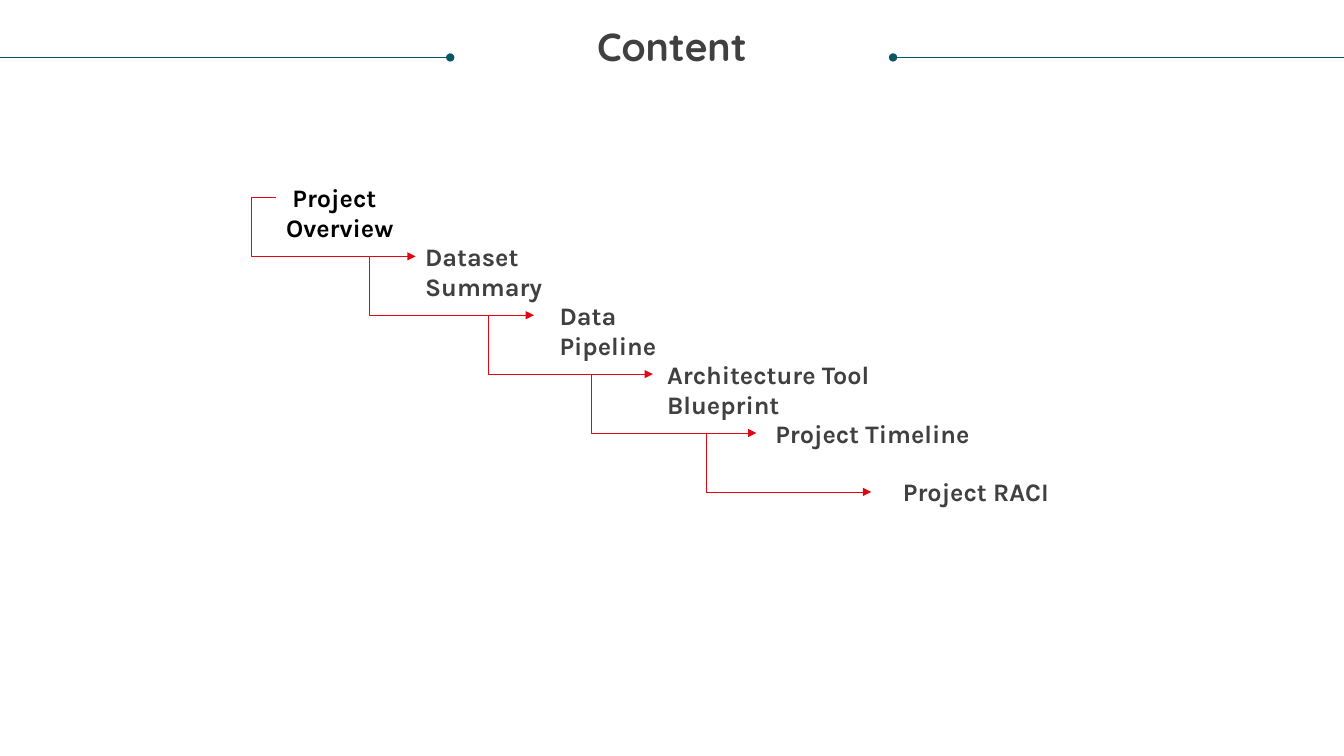
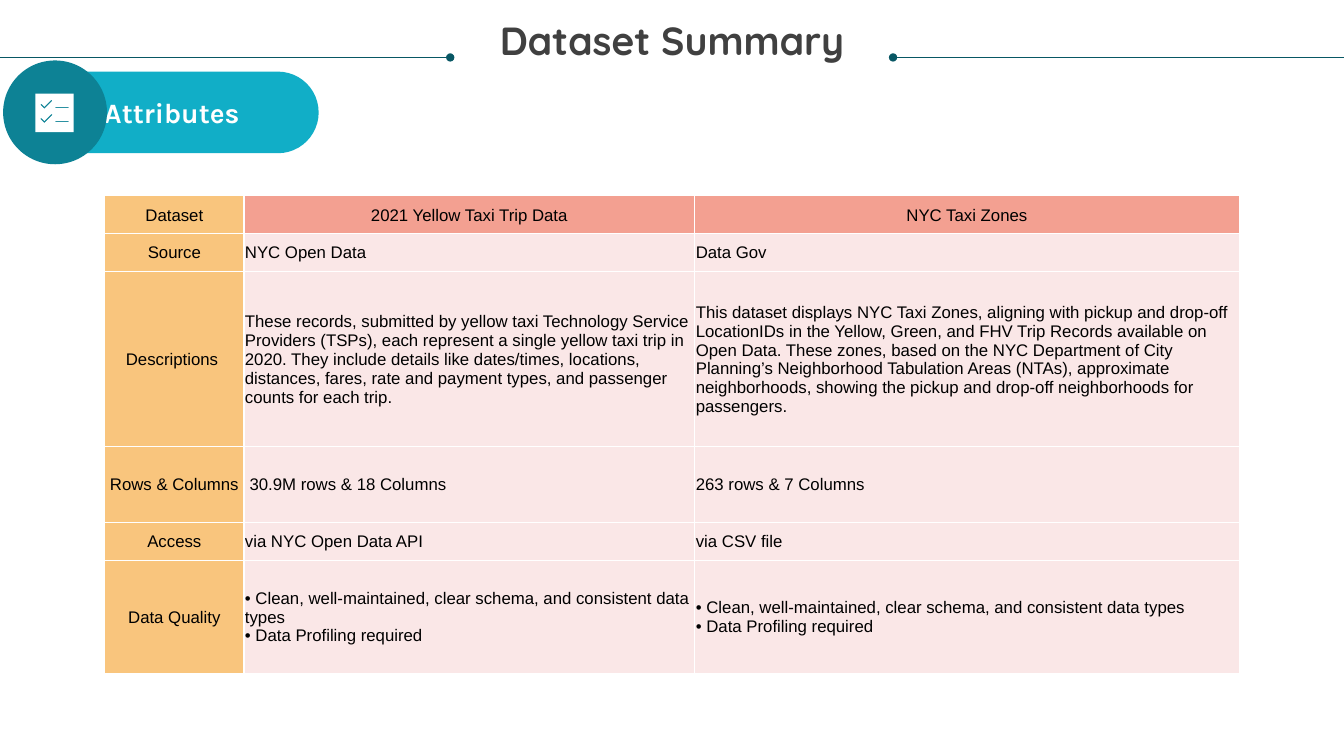
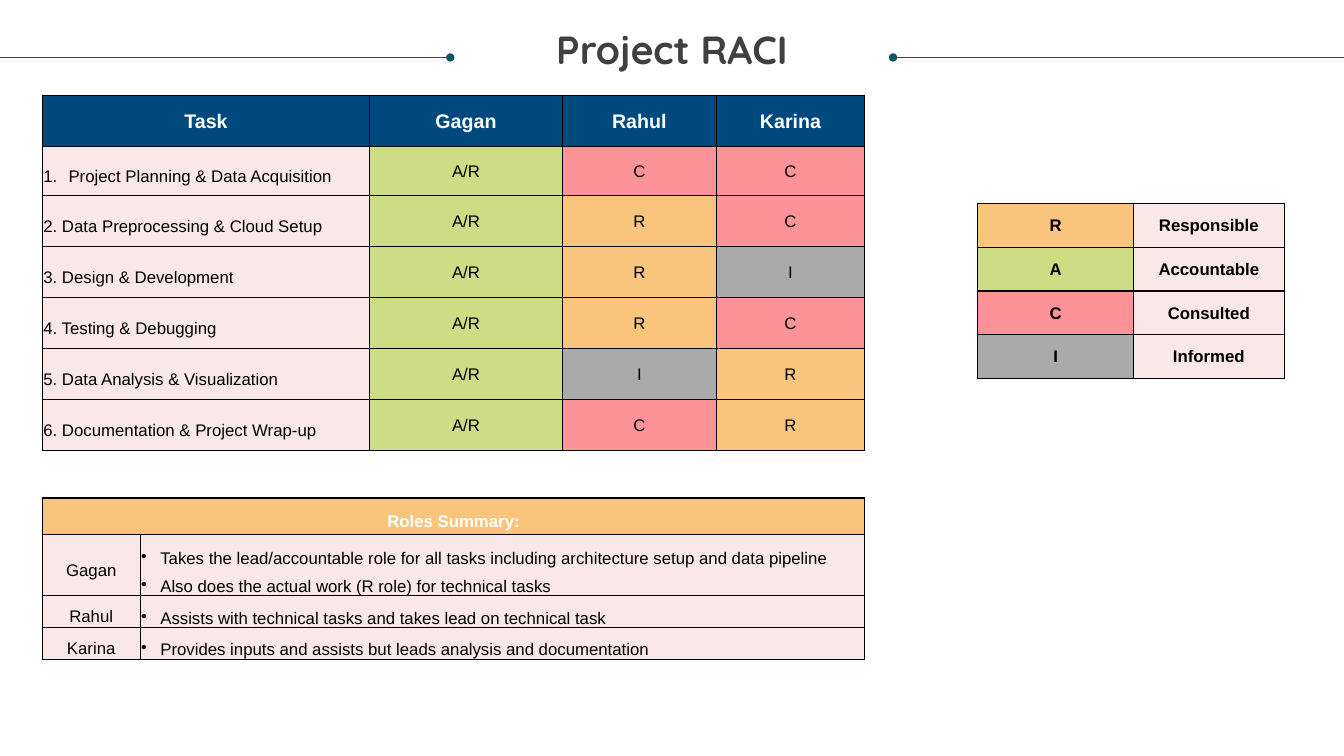
from dataclasses import dataclass

from lxml.etree import SubElement
from pptx import Presentation
from pptx.dml.color import RGBColor
from pptx.enum.shapes import MSO_CONNECTOR as Link, MSO_SHAPE as Preset
from pptx.enum.text import MSO_ANCHOR as Anchor, MSO_AUTO_SIZE as AutoSize, PP_ALIGN as Align
from pptx.oxml.ns import qn
from pptx.util import Emu, Inches, Pt


@dataclass(frozen=True)
class Theme:
    """Colours, fonts and type sizes of the deck."""
    ink: str = "404040"
    black: str = "000000"
    white: str = "FFFFFF"
    rule: str = "085764"
    arrow: str = "E20613"
    pill: str = "11AEC7"
    badge: str = "0D8295"
    navy: str = "00497F"
    orange: str = "F9C57D"
    coral: str = "F3A091"
    blush: str = "FAE7E7"
    green: str = "CDDC85"
    pink: str = "FC9399"
    grey: str = "AAAAAA"
    title_font: str = "Quicksand"
    label_font: str = "Karla"
    table_font: str = "Arial"
    title_size: float = 28
    badge_size: float = 20
    label_size: float = 18
    head_size: float = 14
    body_size: float = 12
    hairline: float = 0.5
    border: float = 1


THEME = Theme()


@dataclass
class Cell:
    """Text and look of one table cell; each line is a paragraph."""
    lines: tuple
    fill: str = THEME.blush
    color: str = THEME.black
    size: float = THEME.body_size
    bold: bool = False
    align: Align = Align.CENTER
    anchor: Anchor = Anchor.MIDDLE
    spacing: float = None
    bullet: str = None
    indent: float = 0


class Deck:
    """Draws on the current slide, on a grid of 100 columns by 100 rows."""

    def __init__(self, theme):
        """Open an empty widescreen presentation."""
        self.theme = theme
        self.prs = Presentation()
        self.prs.slide_width, self.prs.slide_height = Inches(13.33), Inches(7.5)
        self.shapes = None

    def x(self, columns):
        """Turn grid columns into a length."""
        return Emu(round(self.prs.slide_width * columns / 100))

    def y(self, rows):
        """Turn grid rows into a length."""
        return Emu(round(self.prs.slide_height * rows / 100))

    def box(self, left, top, width, height):
        """Turn a grid rectangle into lengths."""
        return self.x(left), self.y(top), self.x(width), self.y(height)

    def slide(self, title, title_top):
        """Start a slide with its title between two dotted rules."""
        theme = self.theme
        self.shapes = self.prs.slides.add_slide(self.prs.slide_layouts[6]).shapes
        self.line((66.45, 7.6), (100, 7.6), theme.rule, head="oval")
        frame = self.frame(1.9, title_top, 96.2, 11.33)
        frame.margin_left = frame.margin_right = frame.margin_top = frame.margin_bottom = 0
        heading = frame.paragraphs[0]
        heading.alignment, heading.line_spacing = Align.CENTER, 0.9
        self.run(heading, title, theme.title_font, theme.title_size, theme.ink)
        self.line((0, 7.6), (33.5, 7.6), theme.rule, tail="oval")

    def frame(self, *at):
        """Add a wrapping text box and return its text frame."""
        frame = self.shapes.add_textbox(*self.box(*at)).text_frame
        frame.word_wrap = True
        return frame

    def run(self, paragraph, text, font, size, color, bold=True):
        """Add one styled run to a paragraph."""
        run = paragraph.add_run()
        run.text = text
        run.font.name, run.font.size, run.font.bold = font, Pt(size), bold
        run.font.color.rgb = RGBColor.from_string(color)

    def label(self, text, left, top, width, color):
        """Add a bold label that grows with its text."""
        frame = self.frame(left, top, width, 5.33)
        frame.auto_size = AutoSize.SHAPE_TO_FIT_TEXT
        self.run(frame.paragraphs[0], text, self.theme.label_font, self.theme.label_size, color)

    def line(self, start, end, color, head=None, tail=None, kind=Link.STRAIGHT):
        """Add a thin connector with optional line ends."""
        link = self.shapes.add_connector(
            kind, self.x(start[0]), self.y(start[1]), self.x(end[0]), self.y(end[1]))
        link.line.color.rgb = RGBColor.from_string(color)
        link.line.width = Pt(self.theme.hairline)
        properties = link.element.spPr
        for tag, mark in (("a:headEnd", head), ("a:tailEnd", tail)):
            if mark:
                SubElement(properties.find(qn("a:ln")), qn(tag), type=mark)
        SubElement(properties, qn("a:effectLst"))
        return link

    def step(self, start, end, bend):
        """Add an elbow arrow that first runs back by a share of its width."""
        link = self.line(start, end, self.theme.arrow, tail="triangle", kind=Link.ELBOW)
        properties = link.element.spPr
        # A half turn with both flips keeps the route and the bend to the left.
        for name, value in (("rot", "10800000"), ("flipH", "1"), ("flipV", "1")):
            properties.find(qn("a:xfrm")).set(name, value)
        guides = properties.find(qn("a:prstGeom")).find(qn("a:avLst"))
        SubElement(guides, qn("a:gd"), name="adj1", fmla=f"val {round(bend * 100000)}")

    def paint(self, shape, fill):
        """Give a shape a flat fill with no outline or shadow."""
        shape.shadow.inherit = False
        shape.fill.solid()
        shape.fill.fore_color.rgb = RGBColor.from_string(fill)
        shape.line.fill.background()
        return shape

    def preset(self, kind, at, fill):
        """Add a flat preset shape."""
        return self.paint(self.shapes.add_shape(kind, *self.box(*at)), fill)

    def outline(self, left, top, unit, contours, fill):
        """Add a closed outline; later contours cut holes in the first."""
        builder = self.shapes.build_freeform(*contours[0][0], scale=1 / self.x(unit) ** -1)
        for index, (first, *rest) in enumerate(contours):
            if index:
                builder.move_to(*first)
            builder.add_line_segments(rest, close=True)
        self.paint(builder.convert_to_shape(self.x(left), self.y(top)), fill)

    def table(self, left, top, columns, rows, cells, border):
        """Add a bordered table; None joins a cell to the one before it."""
        table = self.shapes.add_table(
            len(rows), len(columns), *self.box(left, top, sum(columns), sum(rows))).table
        table.first_row = table.horz_banding = False
        for column, width in zip(table.columns, columns):
            column.width = self.x(width)
        for row, height in zip(table.rows, rows):
            row.height = self.y(height)
        for r, row in enumerate(cells):
            for c, content in enumerate(row):
                cell = table.cell(r, c)
                self.edges(cell, border)
                if content is None:
                    table.cell(r, c - 1).merge(cell)
                else:
                    self.fill_cell(cell, content)

    def edges(self, cell, color):
        """Draw the four borders of a cell."""
        properties = cell._tc.get_or_add_tcPr()
        for side in ("a:lnL", "a:lnR", "a:lnT", "a:lnB"):
            edge = SubElement(properties, qn(side), w=str(Pt(self.theme.border)))
            SubElement(SubElement(edge, qn("a:solidFill")), qn("a:srgbClr"), val=color)

    def fill_cell(self, cell, content):
        """Write the text of a cell and colour it."""
        cell.fill.solid()
        cell.fill.fore_color.rgb = RGBColor.from_string(content.fill)
        cell.vertical_anchor = content.anchor
        cell.margin_left = cell.margin_right = cell.margin_top = Inches(0.01)
        cell.margin_bottom = 0
        frame = cell.text_frame
        for index, line in enumerate(content.lines):
            paragraph = frame.add_paragraph() if index else frame.paragraphs[0]
            paragraph.alignment = content.align
            paragraph.line_spacing = content.spacing
            if content.bullet:
                self.bullet(paragraph, content.bullet, Inches(content.indent))
            self.run(paragraph, line, self.theme.table_font, content.size,
                     content.color, content.bold)

    def bullet(self, paragraph, mark, indent):
        """Give a paragraph a hanging bullet, or a number if mark is '1.'."""
        properties = paragraph._p.get_or_add_pPr()
        properties.set("marL", str(indent))
        properties.set("indent", str(-indent))
        if mark == "1.":
            SubElement(properties, qn("a:buAutoNum"), type="arabicPeriod")
        else:
            SubElement(properties, qn("a:buChar"), char=mark)


def content_slide(deck):
    """Agenda as a staircase of labels joined by arrows."""
    deck.slide("Content", 3.6)
    top, rise, arrow_width = 23.45, 7.79, 10.38
    topics = [
        (" Project Overview ", 20.55, 16.5), ("Dataset Summary", 30.9, 16.13),
        ("Data Pipeline", 40.9, 12.4), ("Architecture Tool Blueprint", 48.9, 23.25),
        ("Project Timeline", 56.95, 16.43), ("Project RACI", 66.45, 14.03)]
    for index, (topic, left, width) in enumerate(topics):
        color = deck.theme.ink if index else deck.theme.black
        deck.label(topic, left, top + index * rise, width, color)
    for index, left in enumerate((20.55, 29.35, 38.2, 45.9, 54.45)):
        height = top + 2.67 + index * rise
        deck.step((left, height), (left + arrow_width, height + rise), -0.18)


def dataset_slide(deck):
    """Attributes badge above a comparison of two datasets."""
    theme = deck.theme
    deck.slide("Dataset Summary", 2.8)
    pill = deck.preset(Preset.ROUNDED_RECTANGLE, (1.88, 9.47, 21.83, 10.8), theme.pill)
    pill.adjustments[0] = 0.5
    pill.text_frame.vertical_anchor = Anchor.MIDDLE
    caption = pill.text_frame.paragraphs[0]
    caption.alignment = Align.CENTER
    deck.run(caption, "Attributes", theme.label_font, theme.badge_size, theme.white)
    deck.preset(Preset.OVAL, (0.23, 8, 7.73, 13.73), theme.badge)

    sheet = [(0, 0), (38, 0), (38, 38), (0, 38)]
    bar = [(20, 13), (33, 13), (33, 14), (20, 14)]
    tick = [(17, 7), (9, 15), (5, 11), (6, 10), (9, 13), (16, 6)]
    marks = [[(x, y + drop) for x, y in mark] for mark in (bar, tick) for drop in (0, 14)]
    deck.outline(2.63, 12.4, 0.075, [sheet, *marks], theme.white)

    quality = "• Clean, well-maintained, clear schema, and consistent data types"
    profiling = "• Data Profiling required"
    facts = [
        ("Dataset", ["2021 Yellow Taxi Trip Data"], ["NYC Taxi Zones"]),
        ("Source", ["NYC Open Data"], ["Data Gov"]),
        ("Descriptions ",
         ["These records, submitted by yellow taxi Technology Service Providers (TSPs), each "
          "represent a single yellow taxi trip in 2020. They include details like dates/times, "
          "locations, distances, fares, rate and payment types, and passenger counts for each "
          "trip."],
         ["This dataset displays NYC Taxi Zones, aligning with pickup and drop-off LocationIDs "
          "in the Yellow, Green, and FHV Trip Records available on Open Data. These zones, based "
          "on the NYC Department of City Planning’s Neighborhood Tabulation Areas (NTAs), "
          "approximate neighborhoods, showing the pickup and drop-off neighborhoods for "
          "passengers."]),
        ("Rows & Columns", [" 30.9M rows & 18 Columns"], ["263 rows & 7 Columns"]),
        ("Access", ["via NYC Open Data API"], ["via CSV file"]),
        ("Data Quality", [quality + " ", profiling], [quality, profiling])]
    cells = []
    for index, (name, *values) in enumerate(facts):
        look = {"align": Align.LEFT} if index else {"fill": theme.coral}
        cells.append([Cell((name,), theme.orange), *(Cell(value, **look) for value in values)])
    deck.table(7.8, 25.9, (10.35, 33.55, 40.5), (5, 5, 23.2, 10, 5, 15), cells, theme.white)


def raci_slide(deck):
    """Responsibility matrix, its legend and a summary of roles."""
    theme = deck.theme
    deck.slide("Project RACI", 4)
    people = ("Gagan", "Rahul", "Karina")
    role_fill = {"R": theme.orange, "A": theme.green, "C": theme.pink, "I": theme.grey}

    tasks = [
        ("Project Planning & Data Acquisition", "C", "C"),
        ("2. Data Preprocessing & Cloud Setup", "R", "C"),
        ("3. Design & Development", "R", "I"),
        ("4. Testing & Debugging", "R", "C"),
        ("5. Data Analysis & Visualization", "I", "R"),
        ("6. Documentation & Project Wrap-up", "C", "R")]
    matrix = [[Cell((name,), theme.navy, theme.white, theme.head_size, True)
               for name in ("Task", *people)]]
    for index, (task, *roles) in enumerate(tasks):
        number = {} if index else {"bullet": "1.", "indent": 0.25}
        matrix.append([Cell((task,), align=Align.LEFT, spacing=1.5, **number),
                       *(Cell((role,), role_fill[role[0]]) for role in ("A/R", *roles))])
    deck.table(3.15, 12.6, (24.35, 14.35, 11.45, 11.05), (6.8, 6.5) + (6.75,) * 5,
               matrix, theme.black)

    meanings = ("Responsible", "Accountable", "Consulted", "Informed")
    legend = [[Cell((letter,), fill, bold=True), Cell((meaning,), bold=True)]
              for (letter, fill), meaning in zip(role_fill.items(), meanings)]
    deck.table(72.75, 26.95, (11.6, 11.2), (5.77,) * 4, legend, theme.black)

    duties = [
        ("Takes the lead/accountable role for all tasks including architecture setup and "
         "data pipeline ", "Also does the actual work (R role) for technical tasks"),
        ("Assists with technical tasks and takes lead on technical task",),
        ("Provides inputs and assists but leads analysis and documentation",)]
    summary = [[Cell(("Roles Summary:",), theme.orange, theme.white, bold=True, spacing=1.5), None]]
    for person, duty in zip(people, duties):
        summary.append([Cell((person,), spacing=1.5),
                        Cell(duty, align=Align.LEFT, anchor=Anchor.BOTTOM, spacing=1.5,
                             bullet="•", indent=0.19)])
    deck.table(3.15, 65.87, (7.28, 53.92), (4.8, 8.1, 4.25, 4.1), summary, theme.black)


def main():
    """Build the three slides and save them."""
    deck = Deck(THEME)
    for build in (content_slide, dataset_slide, raci_slide):
        build(deck)
    deck.prs.save("out.pptx")


main()
